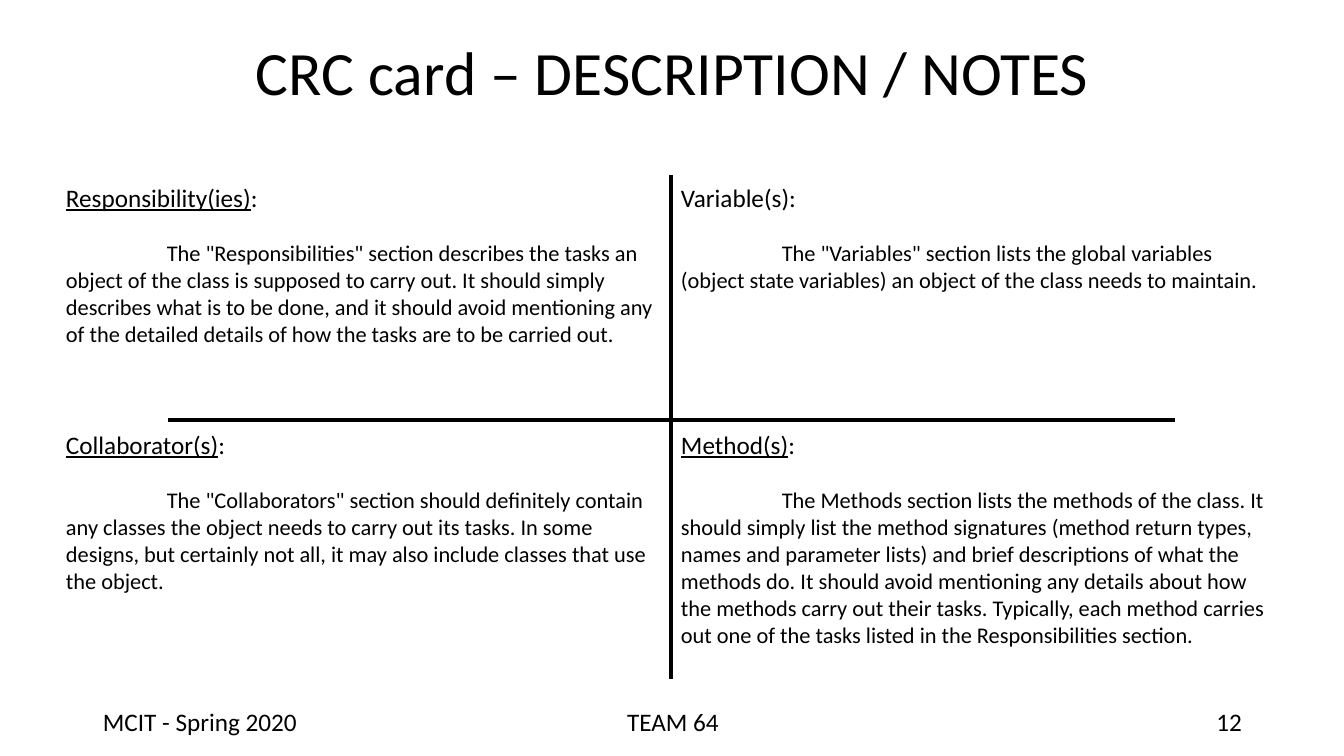
import pptx
import pptx.util
import pptx.dml.color
import pptx.enum.shapes
import pptx.enum.text
import pptx.oxml

EMU_PER_PIXEL = 914400 / 100.8
FONT = "Calibri"
BLACK = "000000"
ALIGN = pptx.enum.text.PP_ALIGN

CARD_LEFTS = (61, 676)
CARD_TOPS = (177, 424)
CARD_SIZE = (605, 252)
FOOTER_TOP = 701
FOOTER_HEIGHT = 40

CARDS = [
    ("Responsibility(ies)", ":",
     'The "Responsibilities" section describes the tasks an object of the class is supposed '
     "to carry out. It should simply describes what is to be done, and it should avoid "
     "mentioning any of the detailed details of how the tasks are to be carried out."),
    ("", "Variable(s):",
     'The "Variables" section lists the global variables (object state variables) an object '
     "of the class needs to maintain."),
    ("Collaborator(s)", ":",
     'The "Collaborators" section should definitely contain any classes the object needs to '
     "carry out its tasks. In some designs, but certainly not all, it may also include "
     "classes that use the object."),
    ("Method(s)", ":",
     "The Methods section lists the methods of the class. It should simply list the method "
     "signatures (method return types, names and parameter lists) and brief descriptions of "
     "what the methods do. It should avoid mentioning any details about how the methods "
     "carry out their tasks. Typically, each method carries out one of the tasks listed in "
     "the Responsibilities section."),
]

FOOTERS = [
    ("MCIT - Spring 2020", 93, 302, ALIGN.LEFT),
    ("TEAM 64", 446, 454, ALIGN.CENTER),
    ("12", 950, 302, ALIGN.RIGHT),
]


def px(pixels):
    return pptx.util.Emu(round(pixels * EMU_PER_PIXEL))


def color(value):
    return pptx.dml.color.RGBColor.from_string(value)


def apply(target, values):
    for name, value in values.items():
        setattr(target, name, value)


def add_run(paragraph, text, size, underline=False):
    run = paragraph.add_run()
    run.text = text
    apply(run.font, {"name": FONT, "size": pptx.util.Pt(size), "underline": underline})
    run.font.color.rgb = color(BLACK)


def format_frame(frame, side_margin, anchor):
    apply(frame, {
        "word_wrap": True,
        "auto_size": pptx.enum.text.MSO_AUTO_SIZE.NONE,
        "vertical_anchor": anchor,
        "margin_left": px(side_margin),
        "margin_right": px(side_margin),
        "margin_top": px(5),
        "margin_bottom": px(5),
    })


def add_text_box(slide, left, top, width, height, side_margin):
    shape = slide.shapes.add_textbox(px(left), px(top), px(width), px(height))
    format_frame(shape.text_frame, side_margin, pptx.enum.text.MSO_ANCHOR.TOP)
    return shape.text_frame


def add_title(slide, text):
    title = slide.shapes.title
    apply(title, {"left": px(93), "top": px(3), "width": px(1159), "height": px(146)})
    format_frame(title.text_frame, 10, pptx.enum.text.MSO_ANCHOR.MIDDLE)
    paragraph = title.text_frame.paragraphs[0]
    apply(paragraph, {"alignment": ALIGN.CENTER, "line_spacing": 0.9})
    add_run(paragraph, text, 44)


def add_line(group, start_x, start_y, end_x, end_y):
    line = group.shapes.add_connector(
        pptx.enum.shapes.MSO_CONNECTOR.STRAIGHT,
        px(start_x), px(start_y), px(end_x), px(end_y))
    line.line.width = pptx.util.Pt(3)
    line.line.color.rgb = color(BLACK)
    properties = line._element.spPr
    properties.append(properties.makeelement(pptx.oxml.ns.qn("a:effectLst"), {}))


def add_card(slide, left, top, underlined, plain, description):
    frame = add_text_box(slide, left, top, *CARD_SIZE, 5)
    heading = frame.paragraphs[0]
    if underlined:
        add_run(heading, underlined, 18, True)
    add_run(heading, plain, 18)
    body = frame.add_paragraph()
    body.space_before = pptx.util.Pt(19.5)
    properties = body._p.get_or_add_pPr()
    properties.set("marL", "0")
    properties.set("indent", str(pptx.util.Inches(1)))
    add_run(body, description, 16)


def add_footer(slide, text, left, width, alignment):
    frame = add_text_box(slide, left, FOOTER_TOP, width, FOOTER_HEIGHT, 10)
    paragraph = frame.paragraphs[0]
    paragraph.alignment = alignment
    add_run(paragraph, text, 18)


def main():
    presentation = pptx.Presentation()
    apply(presentation, {"slide_width": px(1344), "slide_height": px(756)})
    slide = presentation.slides.add_slide(presentation.slide_layouts[5])
    add_title(slide, "CRC card – DESCRIPTION / NOTES")
    cross = slide.shapes.add_group_shape()
    add_line(cross, 671, 175, 671, 679)
    add_line(cross, 168, 420, 1175, 420)
    for index, card in enumerate(CARDS):
        row, column = divmod(index, 2)
        add_card(slide, CARD_LEFTS[column], CARD_TOPS[row], *card)
    for footer in FOOTERS:
        add_footer(slide, *footer)
    presentation.save("out.pptx")


main()
